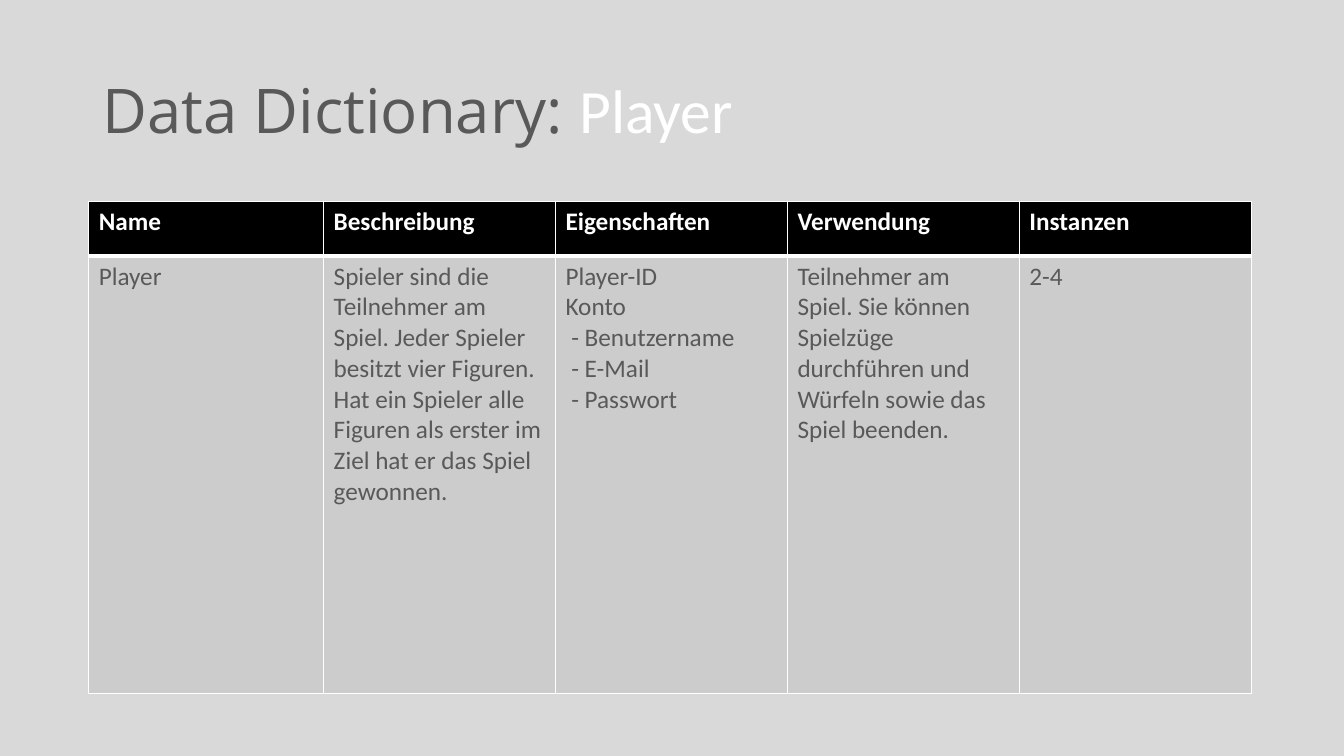
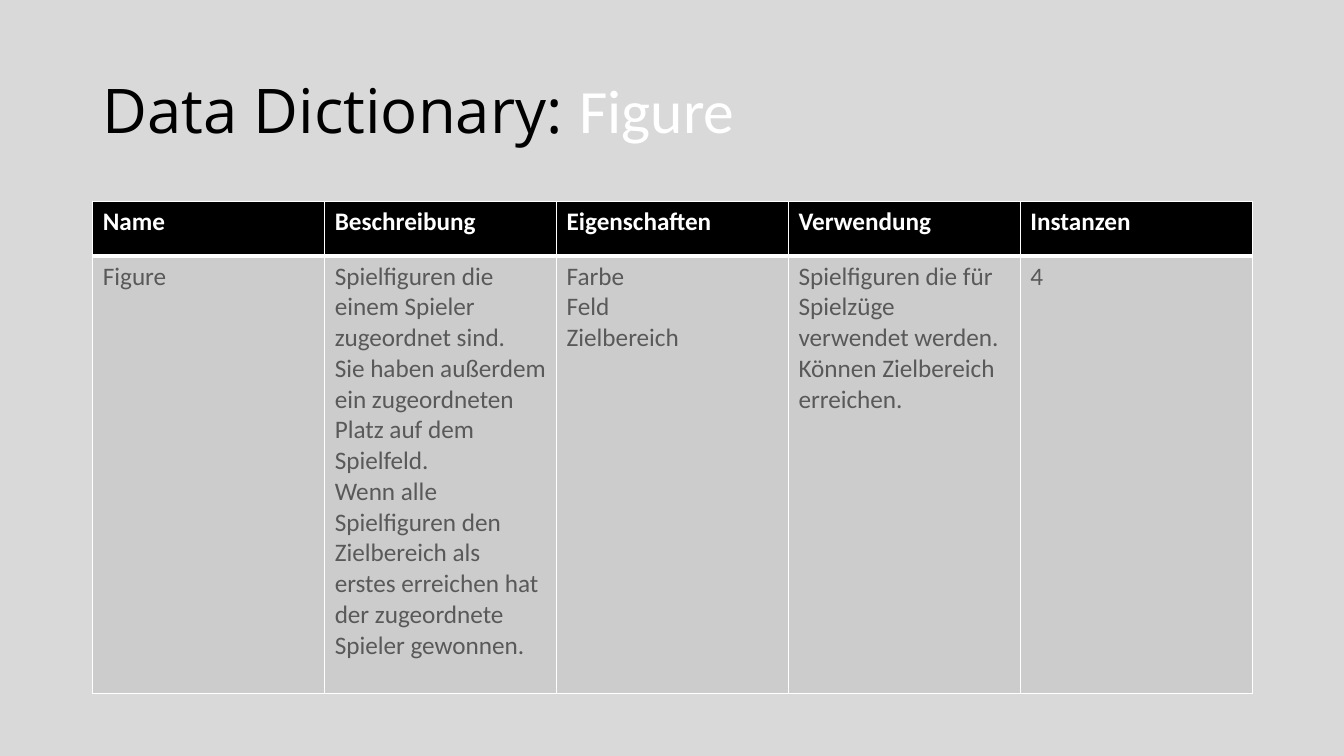
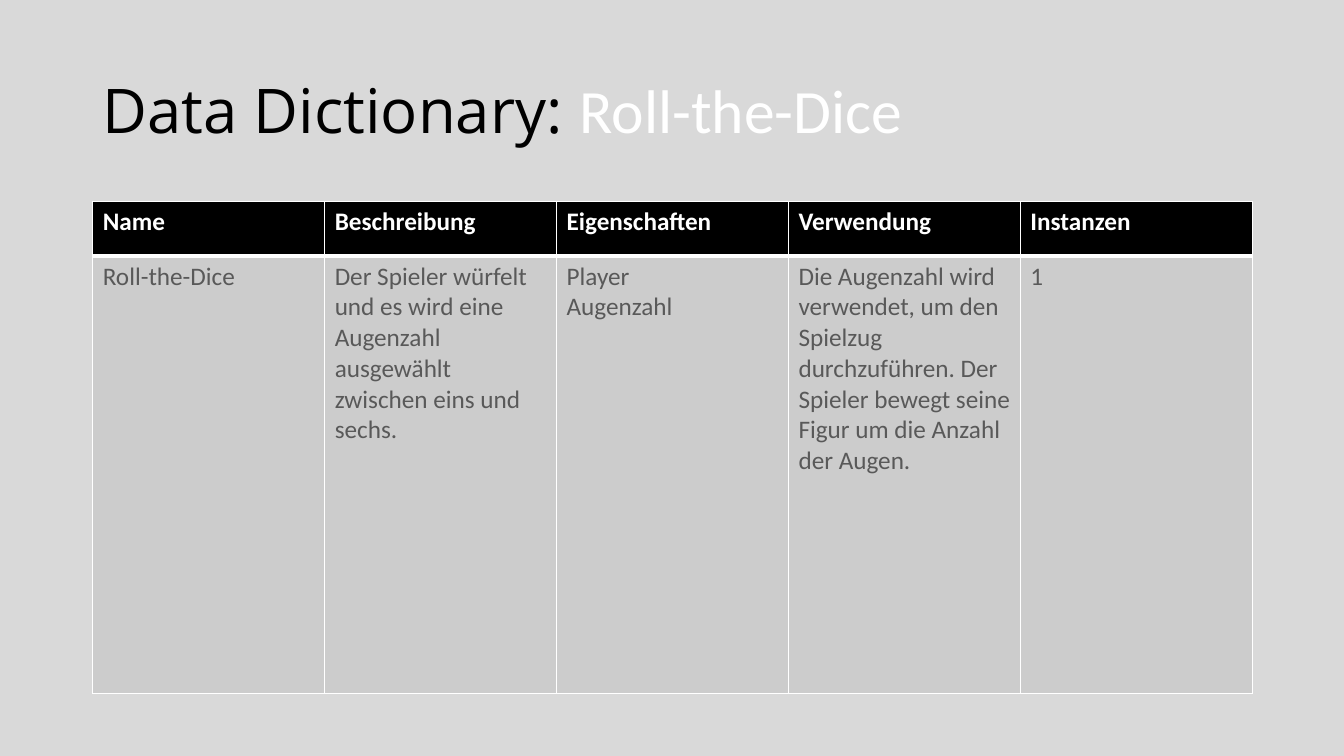
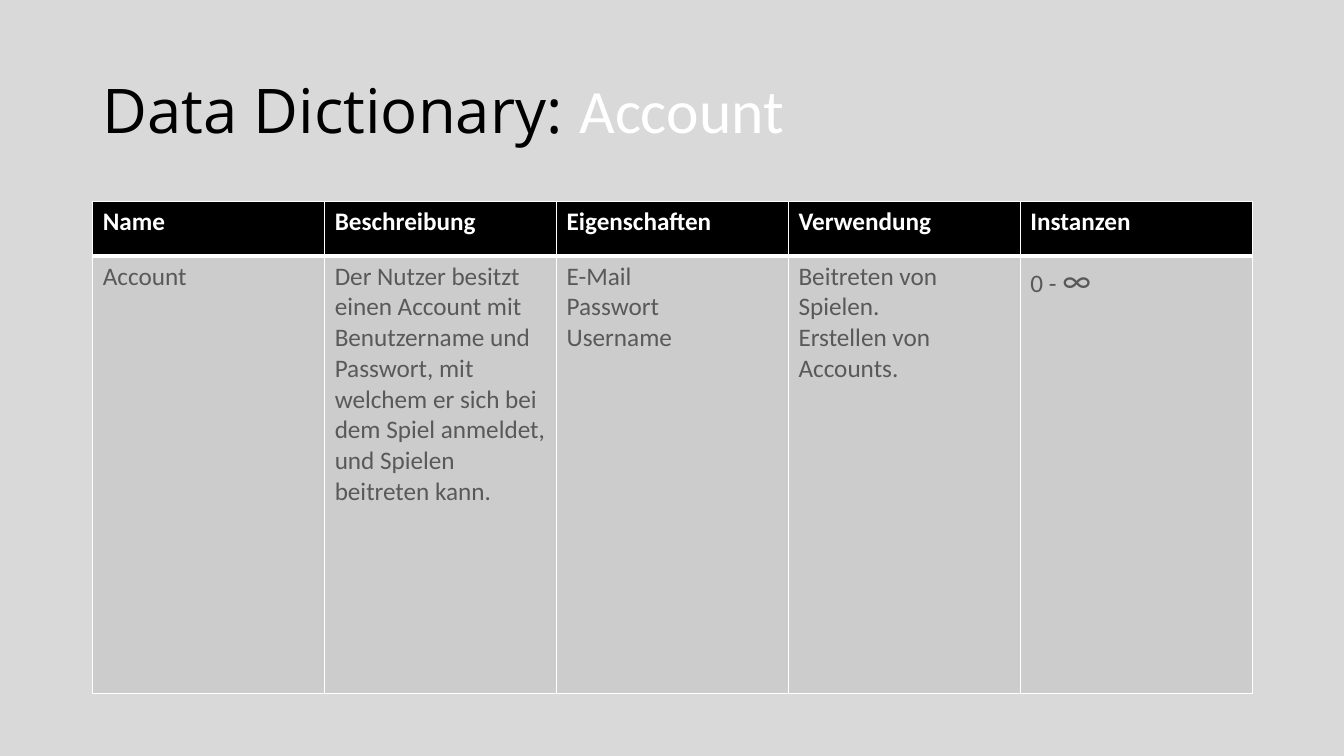
from lxml.etree import SubElement
from pptx import Presentation
from pptx.dml.color import RGBColor
from pptx.enum.text import MSO_ANCHOR
from pptx.oxml.ns import qn
from pptx.util import Inches, Pt

# Content: title color, left edge, first column width, cells of the entry.
# A cell is a list of lines; a line is a string or a list of (text, size) runs.
HEADERS = ["Name", "Beschreibung", "Eigenschaften", "Verwendung", "Instanzen"]
ENTRIES = [
    ("595959", 0.88, 2.33, [
        ["Player"],
        ["Spieler sind die Teilnehmer am Spiel. Jeder Spieler besitzt vier Figuren.",
         "Hat ein Spieler alle Figuren als erster im Ziel hat er das Spiel gewonnen."],
        ["Player-ID", "Konto", " - Benutzername", " - E-Mail", " - Passwort"],
        ["Teilnehmer am Spiel. Sie können Spielzüge durchführen und Würfeln "
         "sowie das Spiel beenden."],
        ["2-4"],
    ]),
    ("000000", 0.92, 2.3, [
        ["Figure"],
        ["Spielfiguren die einem Spieler zugeordnet sind.",
         "Sie haben außerdem ein zugeordneten Platz auf dem Spielfeld.",
         "Wenn alle Spielfiguren den Zielbereich als erstes erreichen hat "
         "der zugeordnete Spieler gewonnen."],
        ["Farbe", "Feld", "Zielbereich"],
        ["Spielfiguren die für Spielzüge verwendet werden.",
         "Können Zielbereich erreichen."],
        ["4"],
    ]),
    ("000000", 0.92, 2.3, [
        ["Roll-the-Dice"],
        ["Der Spieler würfelt und es wird eine Augenzahl ausgewählt "
         "zwischen eins und sechs."],
        ["Player", "Augenzahl"],
        ["Die Augenzahl wird verwendet, um den Spielzug durchzuführen. "
         "Der Spieler bewegt seine Figur um die Anzahl der Augen."],
        ["1"],
    ]),
    ("000000", 0.92, 2.3, [
        ["Account"],
        ["Der Nutzer besitzt einen Account mit Benutzername und Passwort, mit "
         "welchem er sich bei dem Spiel anmeldet, und Spielen beitreten kann."],
        ["E-Mail", "Passwort", "Username"],
        ["Beitreten von Spielen.", "Erstellen von Accounts."],
        [[("0 - ", 18), ("∞", 24)]],
    ]),
]

# Shared style
BACKGROUND, WHITE = "D9D9D9", "FFFFFF"
TABLE_TOP, COLUMN_WIDTH, ROW_HEIGHTS = 2, 2.3, (0.54, 4.34)
THIN, THICK = 1, 3
ROW_STYLES = [
    {"fill": "000000", "color": WHITE, "bold": True,
     "borders": {"L": THIN, "R": THIN, "T": THIN, "B": THICK}},
    {"fill": "CCCCCC", "color": "595959", "bold": False,
     "borders": {"L": THIN, "R": THIN, "T": THICK, "B": THIN}},
]


def rgb(value):
    return RGBColor.from_string(value)


def add_run(paragraph, text, color, **formats):
    run = paragraph.add_run()
    run.text = text
    run.font.color.rgb = rgb(color)
    for name, value in formats.items():
        setattr(run.font, name, value)


def add_borders(cell, widths):
    properties = cell._tc.get_or_add_tcPr()
    for side, width in widths.items():
        line = SubElement(properties, qn(f"a:ln{side}"), w=str(Pt(width)))
        fill = SubElement(line, qn("a:solidFill"))
        SubElement(fill, qn("a:srgbClr"), val=WHITE)


def add_title(slide, name, color):
    box = slide.shapes.add_textbox(Inches(0.92), Inches(0.4), Inches(11.5), Inches(1.45))
    frame = box.text_frame
    frame.word_wrap = True
    frame.vertical_anchor = MSO_ANCHOR.MIDDLE
    paragraph = frame.paragraphs[0]
    paragraph.line_spacing = 0.9
    add_run(paragraph, "Data Dictionary: ", color, name="Open Sans", size=Pt(44))
    add_run(paragraph, name, WHITE, name="Calibri", size=Pt(44))


def fill_cell(cell, lines, style):
    add_borders(cell, style["borders"])
    cell.fill.solid()
    cell.fill.fore_color.rgb = rgb(style["fill"])
    frame = cell.text_frame
    for index, line in enumerate(lines):
        paragraph = frame.add_paragraph() if index else frame.paragraphs[0]
        runs = [(line, 18)] if isinstance(line, str) else line
        for text, size in runs:
            add_run(paragraph, text, style["color"], name="Calibri",
                    size=Pt(size), bold=style["bold"])


def add_dictionary(slide, left, first_width, cells):
    widths = [first_width] + [COLUMN_WIDTH] * (len(HEADERS) - 1)
    rows = [[[header] for header in HEADERS], cells]
    table = slide.shapes.add_table(
        len(rows), len(widths), Inches(left), Inches(TABLE_TOP),
        Inches(sum(widths)), Inches(sum(ROW_HEIGHTS))).table
    for column, width in zip(table.columns, widths):
        column.width = Inches(width)
    for row, height, contents, style in zip(table.rows, ROW_HEIGHTS, rows, ROW_STYLES):
        row.height = Inches(height)
        for cell, lines in zip(row.cells, contents):
            fill_cell(cell, lines, style)


# Build the slides
presentation = Presentation()
presentation.slide_width, presentation.slide_height = Inches(13.33), Inches(7.5)
background = presentation.slide_master.background.fill
background.solid()
background.fore_color.rgb = rgb(BACKGROUND)

for title_color, left, first_width, cells in ENTRIES:
    slide = presentation.slides.add_slide(presentation.slide_layouts[6])
    add_title(slide, cells[0][0], title_color)
    add_dictionary(slide, left, first_width, cells)

presentation.save("out.pptx")
